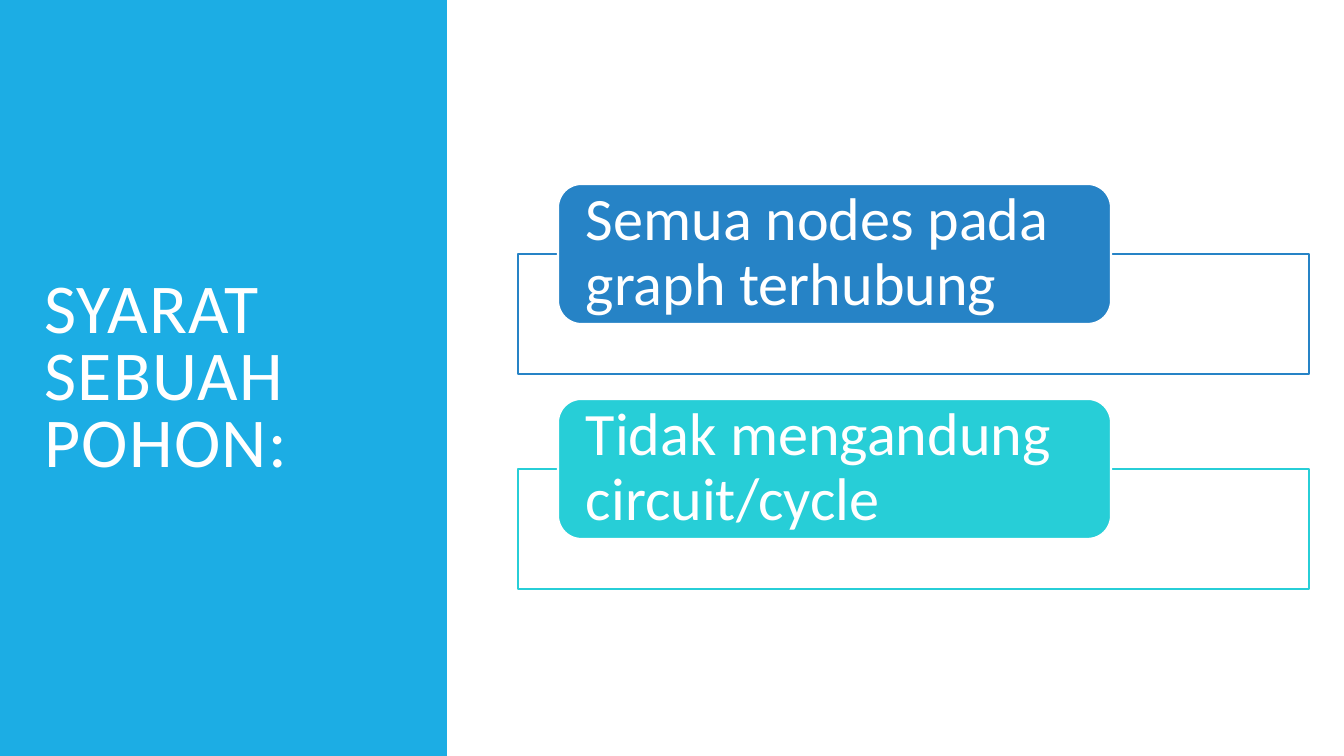
from pptx import Presentation
from pptx.dml.color import RGBColor
from pptx.enum.shapes import MSO_SHAPE
from pptx.enum.text import MSO_ANCHOR, MSO_AUTO_SIZE, PP_ALIGN
from pptx.util import Pt

PX = 914400 / 100.8
COLORS = {"white": "FFFFFF", "panel": "1CADE4", "blue": "2683C6", "teal": "27CED7"}
RULES = [
    ("Semua nodes pada graph terhubung", "blue"),
    ("Tidak mengandung circuit/cycle", "teal"),
]
TOP, STEP = 184, 215


def add_box(kind, box, fill, line=None, width=0):
    shape = slide.shapes.add_shape(kind, *[round(v * PX) for v in box])
    shape.shadow.inherit = False
    shape.fill.solid()
    shape.fill.fore_color.rgb = RGBColor.from_string(COLORS[fill])
    if line:
        shape.line.color.rgb = RGBColor.from_string(COLORS[line])
        shape.line.width = Pt(width)
    else:
        shape.line.fill.background()
    return shape


def set_text(shape, text, size, spacing, inset):
    frame = shape.text_frame
    frame.text = text
    layout = {
        "word_wrap": True,
        "auto_size": MSO_AUTO_SIZE.NONE,
        "vertical_anchor": MSO_ANCHOR.MIDDLE,
        "margin_left": round(inset * PX),
        "margin_right": round(inset * PX),
        "margin_top": 0,
        "margin_bottom": 0,
    }
    for name, value in layout.items():
        setattr(frame, name, value)
    para = frame.paragraphs[0]
    para.alignment = PP_ALIGN.LEFT
    para.line_spacing = spacing
    font = para.runs[0].font
    for name, value in {"name": "Calibri", "size": Pt(size)}.items():
        setattr(font, name, value)
    font.color.rgb = RGBColor.from_string(COLORS["white"])
    return font


deck = Presentation()
deck.slide_width, deck.slide_height = round(1344 * PX), round(756 * PX)
slide = deck.slides.add_slide(deck.slide_layouts[5])

panel = add_box(MSO_SHAPE.RECTANGLE, (-1, 0, 448, 756), "panel")
title = slide.shapes.title
panel.element.addnext(title.element)
place = {"left": 34, "top": 71, "width": 378, "height": 619}
for name, value in place.items():
    setattr(title, name, round(value * PX))
font = set_text(title, "SYARAT SEBUAH POHON:", 50, 0.8, 10)
font._element.set("spc", "100")

for i, (text, color) in enumerate(RULES):
    top = TOP + i * STEP
    add_box(MSO_SHAPE.RECTANGLE, (518, top + 70, 791, 120), "white", color, 1.25)
    label = add_box(MSO_SHAPE.ROUNDED_RECTANGLE, (558, top, 553, 140), color, "white", 1.5)
    set_text(label, text, 43, 0.9, 21)

deck.save("out.pptx")
